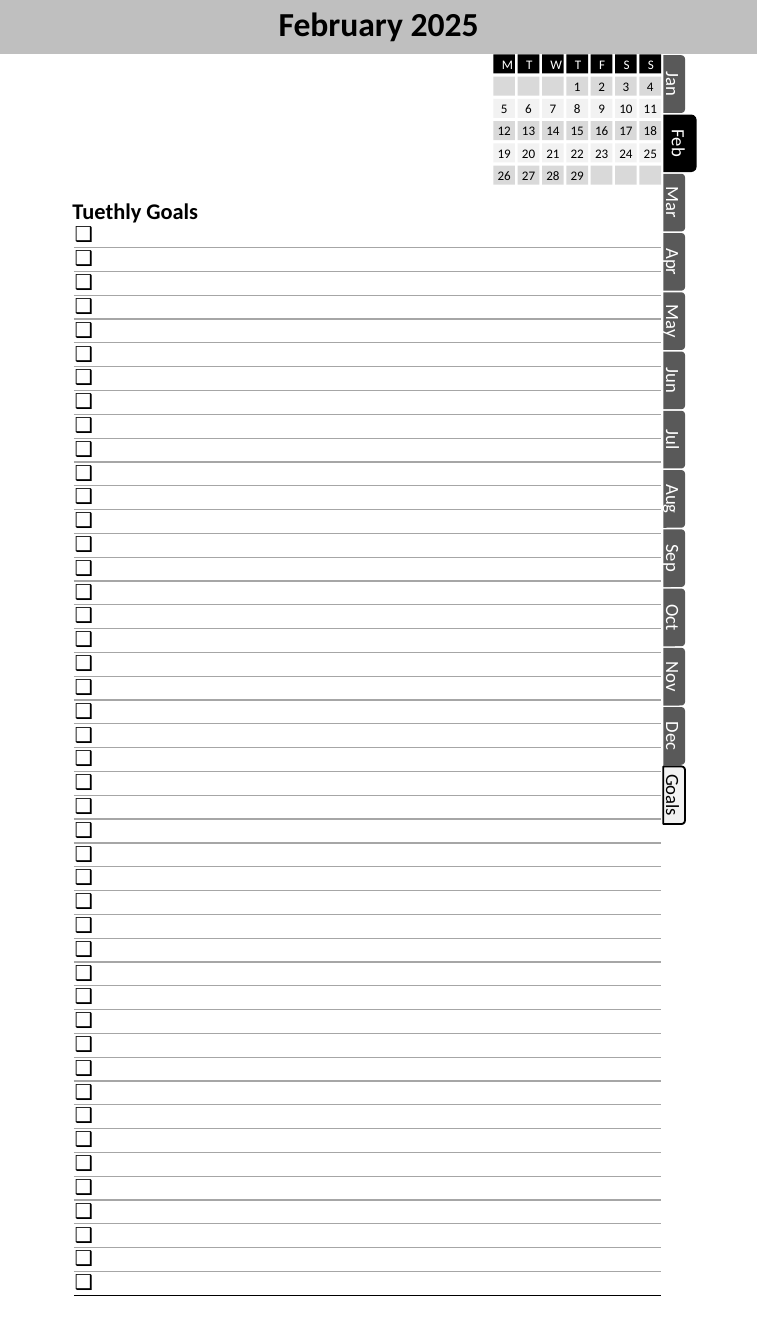
"""Build a February planner page with a mini calendar, month tabs and a goal checklist."""
import dataclasses

import lxml.etree
import pptx
import pptx.dml.color
import pptx.enum.shapes
import pptx.enum.text
import pptx.oxml.ns
import pptx.util

Cm = pptx.util.Cm
Pt = pptx.util.Pt
qn = pptx.oxml.ns.qn
SHAPES = pptx.enum.shapes.MSO_SHAPE
MIDDLE = pptx.enum.text.MSO_ANCHOR.MIDDLE
CENTER = pptx.enum.text.PP_ALIGN.CENTER
LEFT = pptx.enum.text.PP_ALIGN.LEFT

BLACK, WHITE = "000000", "FFFFFF"
BAND_GREY, RULE_GREY, TAB_GREY = "BFBFBF", "A6A6A6", "595959"
WEEK_DARK, WEEK_LIGHT = "D9D9D9", "F2F2F2"

PAGE_WIDTH, PAGE_HEIGHT, BAND_HEIGHT = 14.3, 25.4, 1.02
MONTHS = "Jan Feb Mar Apr May Jun Jul Aug Sep Oct Nov Dec".split()
TAB_LEFT, TAB_LENGTH, TAB_PITCH, FIRST_TAB_MIDDLE = 12.53, 1.09, 1.12, 1.59
DAY_LEFT, DAY_TOP, DAY_PITCH, WEEK_PITCH = 9.32, 1.03, 0.46, 0.42
FIRST_WEEKDAY, DAYS_IN_MONTH, WEEKS = 3, 29, 5
GOAL_COUNT, GOAL_HEIGHT, CHECKBOX_INDENT = 45, 0.45, 0.45


@dataclasses.dataclass
class Tab:
    """One index tab on the right edge of the page."""
    label: str
    depth: float = 0.41
    fill: str = TAB_GREY
    ink: str = WHITE
    outline: str = ""


@dataclasses.dataclass
class Day:
    """One box of the mini calendar."""
    label: str
    column: int
    row: int
    fill: str
    ink: str = BLACK
    inset: float = 0


def colour(hex_value: str) -> pptx.dml.color.RGBColor:
    """Turn a hex string into a colour."""
    return pptx.dml.color.RGBColor.from_string(hex_value)


def write(frame, words: str, size: float, ink: str = BLACK, bold: bool = False, align=CENTER):
    """Write one formatted paragraph and return it."""
    frame.text = words
    paragraph = frame.paragraphs[0]
    paragraph.alignment = align
    paragraph.font.name = "Calibri"
    paragraph.font.size = Pt(size)
    paragraph.font.bold = bold
    paragraph.font.color.rgb = colour(ink)
    return paragraph


def add_box(shapes, kind, left: float, top: float, width: float, height: float, fill: str):
    """Add a flat filled shape without insets."""
    box = shapes.add_shape(kind, Cm(left), Cm(top), Cm(width), Cm(height))
    box.shadow.inherit = False
    box.fill.solid()
    box.fill.fore_color.rgb = colour(fill)
    box.line.fill.background()
    frame = box.text_frame
    frame.margin_left = frame.margin_right = frame.margin_top = frame.margin_bottom = 0
    frame.vertical_anchor = MIDDLE
    return box


def add_header(slide) -> None:
    """Place the month title on its grey band."""
    title = slide.shapes.title
    title.left, title.top, title.width, title.height = Cm(3.23), 0, Cm(7.85), Cm(BAND_HEIGHT)
    frame = title.text_frame
    frame.auto_size = pptx.enum.text.MSO_AUTO_SIZE.NONE
    frame.vertical_anchor = MIDDLE
    frame.margin_top, frame.margin_bottom = 0, Cm(0.07)
    write(frame, "February 2025", 18, bold=True).line_spacing = 0.9
    band = add_box(slide.shapes, SHAPES.RECTANGLE, 0, 0, PAGE_WIDTH, BAND_HEIGHT, BAND_GREY)
    title.element.addprevious(band.element)


def add_tab(shapes, tab: Tab, position: int) -> None:
    """Draw one tab turned to read downwards."""
    middle_x = TAB_LEFT + tab.depth / 2
    middle_y = FIRST_TAB_MIDDLE + position * TAB_PITCH
    box = add_box(shapes, SHAPES.ROUND_2_SAME_RECTANGLE, middle_x - TAB_LENGTH / 2,
                  middle_y - tab.depth / 2, TAB_LENGTH, tab.depth, tab.fill)
    box.rotation = 90
    if tab.outline:
        box.line.color.rgb = colour(tab.outline)
        box.line.width = Pt(1)
    write(box.text_frame, tab.label, 10, tab.ink)


def add_day(shapes, day: Day) -> None:
    """Draw one calendar box."""
    box = add_box(shapes, SHAPES.RECTANGLE, DAY_LEFT + day.column * DAY_PITCH,
                  DAY_TOP + day.row * WEEK_PITCH, 0.41, 0.36, day.fill)
    if day.label:
        frame = box.text_frame
        frame.margin_left = frame.margin_right = Cm(day.inset)
        write(frame, day.label, 7, day.ink)


def calendar_days() -> list[Day]:
    """List the weekday headings and the boxes of every week."""
    days = [Day(letter, column, 0, BLACK, WHITE, 0.25) for column, letter in enumerate("MTWTFSS")]
    for slot in range(WEEKS * 7):
        week, column = divmod(slot, 7)
        number = slot - FIRST_WEEKDAY + 1
        label = str(number) if 1 <= number <= DAYS_IN_MONTH else ""
        days.append(Day(label, column, week + 1, WEEK_LIGHT if week % 2 else WEEK_DARK))
    return days


def add_rule(cell, side: str, ink: str, width: float) -> None:
    """Draw one border of a cell."""
    properties = cell._tc.get_or_add_tcPr()
    rule = lxml.etree.SubElement(properties, qn(f"a:{side}"), w=str(Pt(width)))
    fill = lxml.etree.SubElement(rule, qn("a:solidFill"))
    lxml.etree.SubElement(fill, qn("a:srgbClr"), val=ink)


def add_checkbox(cell) -> None:
    """Give a cell an open checkbox as its list bullet."""
    goal = write(cell.text_frame, " ", 11, align=LEFT)
    goal.line_spacing = Pt(12.7)
    properties = goal._p.get_or_add_pPr()
    properties.set("marL", str(Cm(CHECKBOX_INDENT)))
    properties.set("indent", str(-Cm(CHECKBOX_INDENT)))
    font = lxml.etree.Element(qn("a:buFont"), typeface="Calibri")
    bullet = lxml.etree.Element(qn("a:buChar"), char="❑")
    properties.find(qn("a:lnSpc")).addnext(font)
    font.addnext(bullet)


def add_checklist(shapes) -> None:
    """Draw the goals heading and its ruled checkbox rows."""
    heading = shapes.add_textbox(Cm(1.12), Cm(3.61), Cm(2.92), Cm(0.76))
    heading.text_frame.word_wrap = False
    write(heading.text_frame, "Tuethly Goals", 12, bold=True, align=LEFT)

    goals = shapes.add_table(GOAL_COUNT, 1, Cm(1.41), Cm(4.23), Cm(11.07),
                             Cm(GOAL_COUNT * GOAL_HEIGHT)).table
    goals.first_row = goals.horz_banding = False
    for position, row in enumerate(goals.rows):
        row.height = Cm(GOAL_HEIGHT)
        goal = row.cells[0]
        goal.margin_left = goal.margin_right = goal.margin_top = goal.margin_bottom = 0
        goal.vertical_anchor = MIDDLE
        add_checkbox(goal)
        if position:
            add_rule(goal, "lnT", RULE_GREY, 0.75)
        if position == GOAL_COUNT - 1:
            add_rule(goal, "lnB", BLACK, 1)
        else:
            add_rule(goal, "lnB", RULE_GREY, 0.75)
        goal.fill.background()


def main() -> None:
    """Assemble and save the planner page."""
    planner = pptx.Presentation()
    planner.slide_width, planner.slide_height = Cm(PAGE_WIDTH), Cm(PAGE_HEIGHT)
    page = planner.slides.add_slide(planner.slide_layouts[5])
    add_header(page)
    add_checklist(page.shapes)

    tabs = [Tab(month) for month in MONTHS]
    tabs[MONTHS.index("Feb")] = Tab("Feb", depth=0.63, fill=BLACK)
    tabs.append(Tab("Goals", fill=WEEK_LIGHT, ink=BLACK, outline=BLACK))
    for position, tab in enumerate(tabs):
        add_tab(page.shapes, tab, position)

    calendar = page.shapes.add_group_shape()
    for day in calendar_days():
        add_day(calendar.shapes, day)
    planner.save("out.pptx")


if __name__ == "__main__":
    main()
